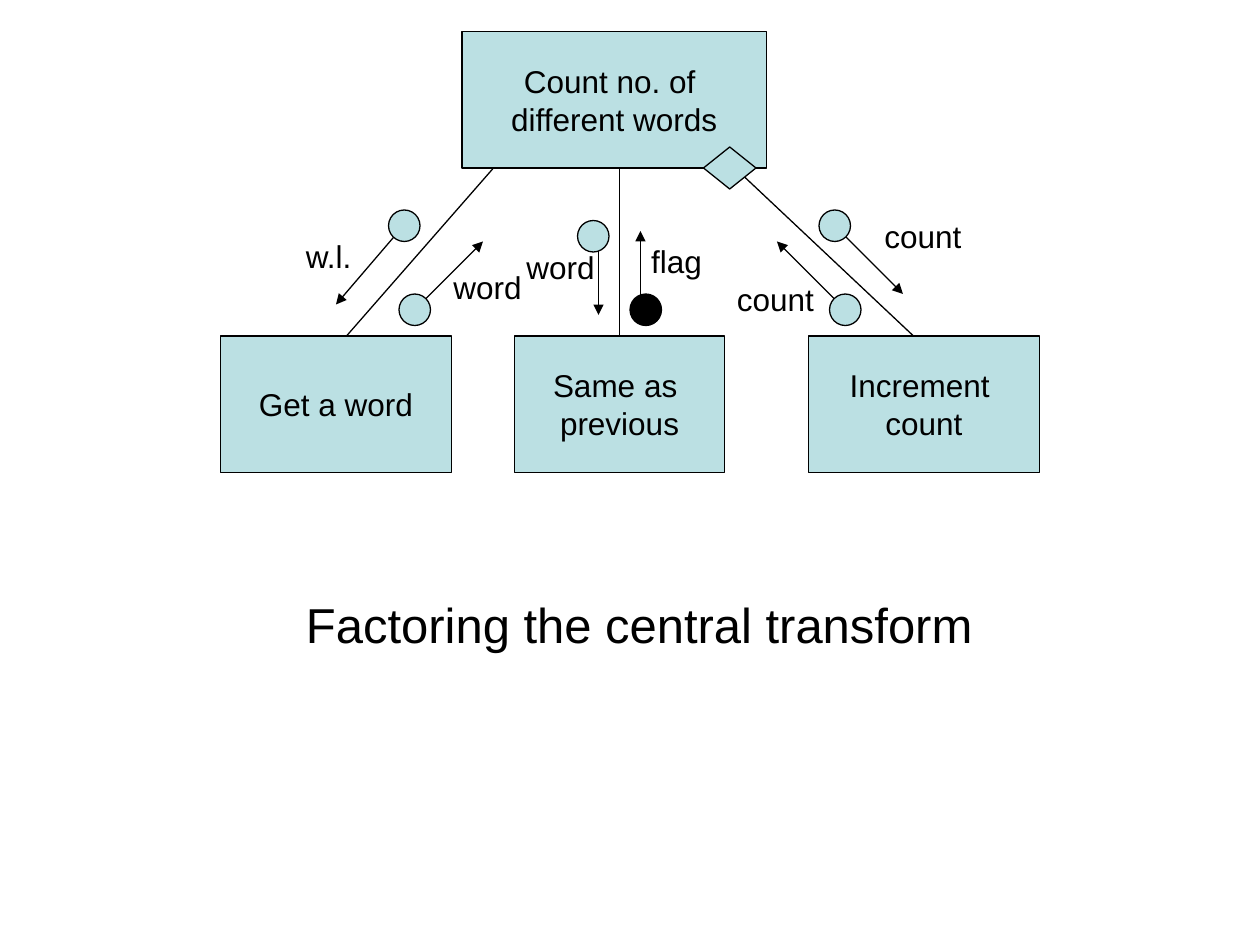
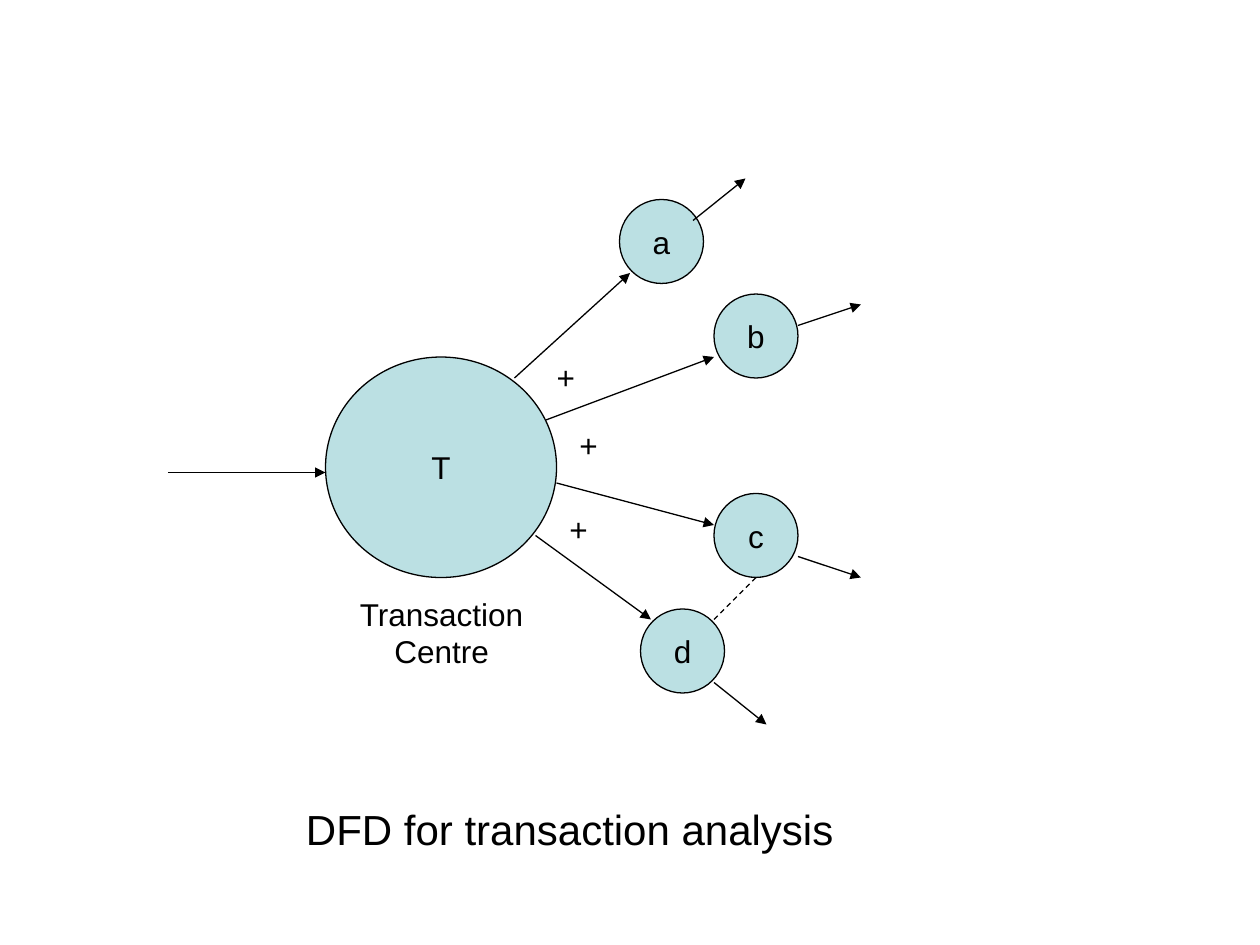
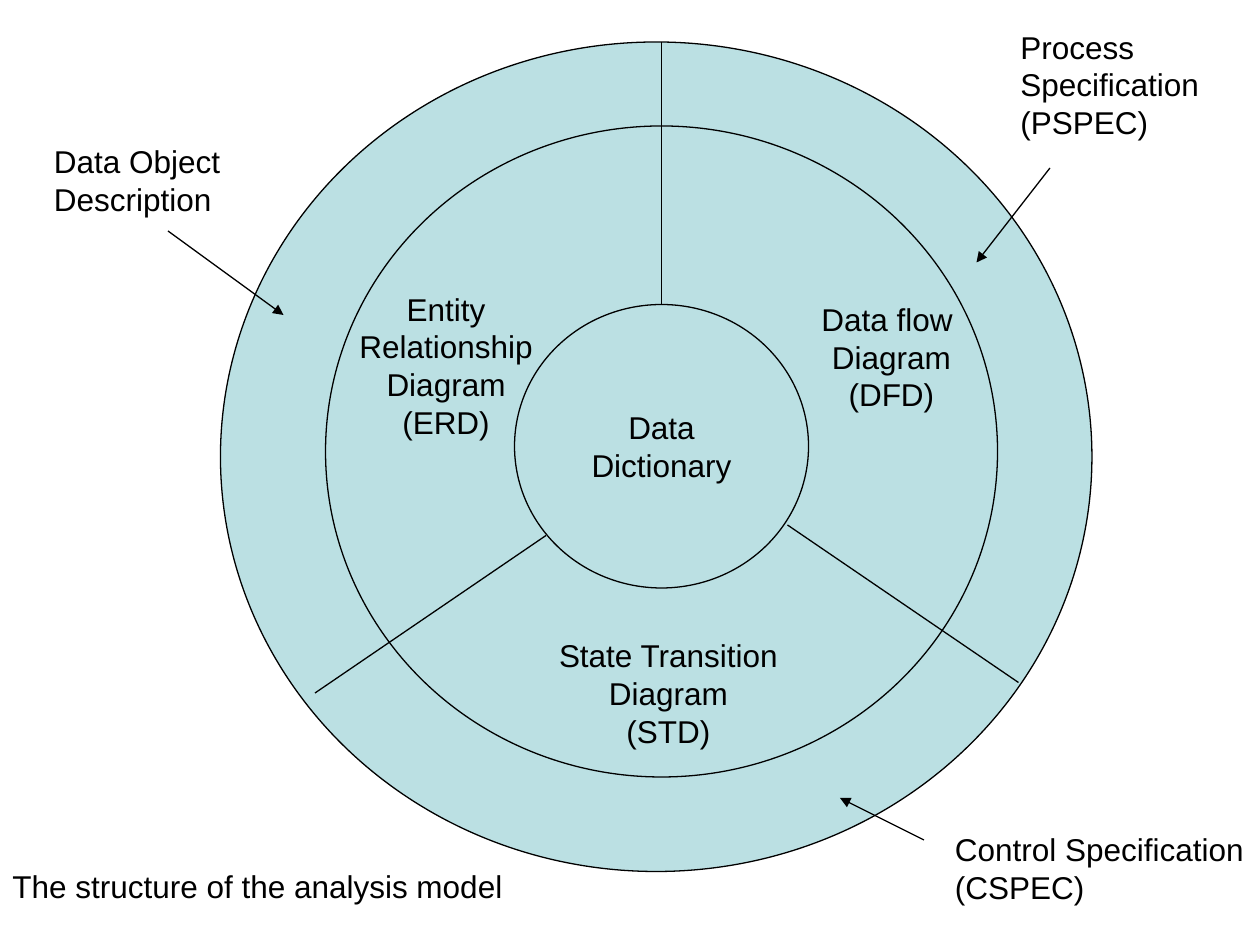
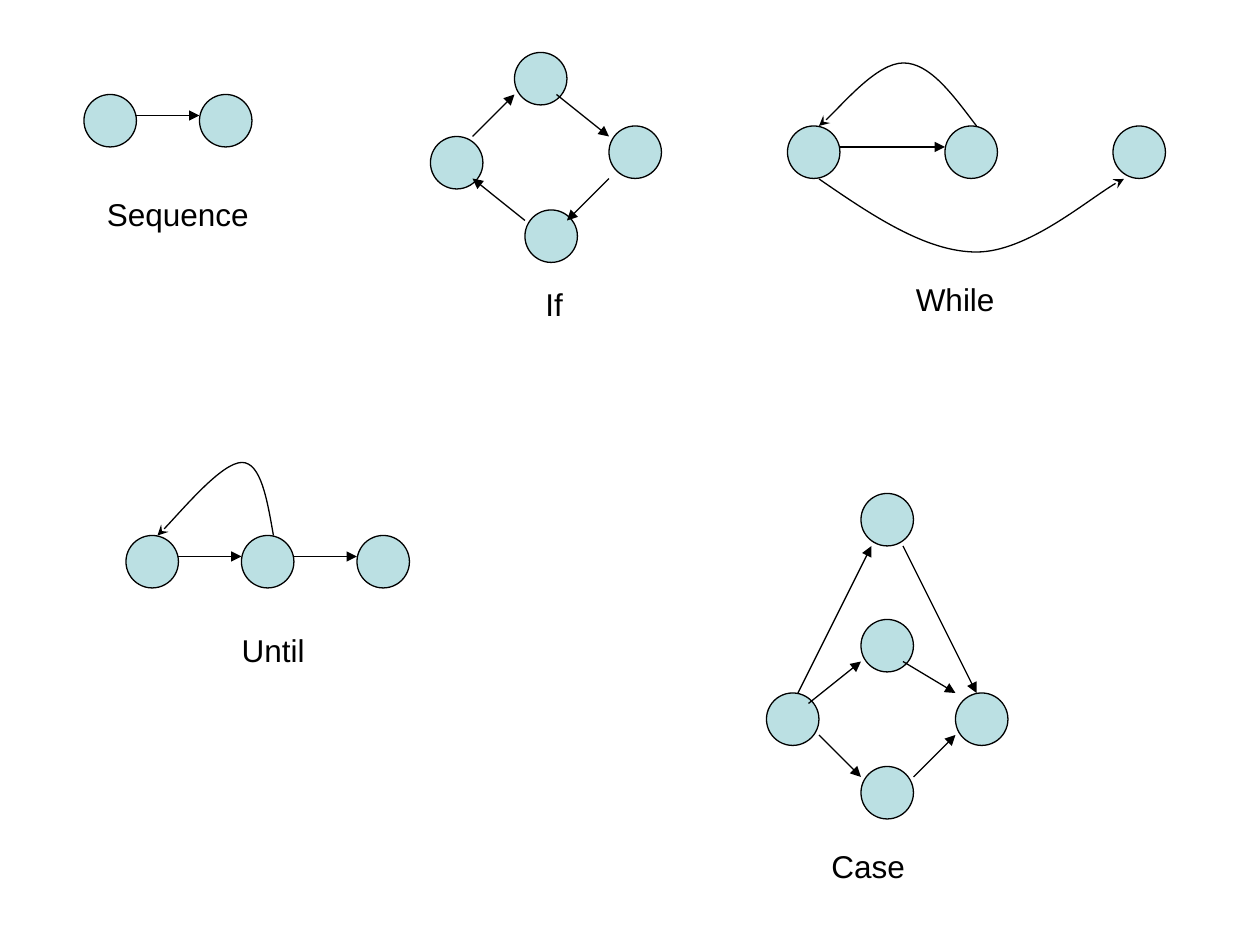
from lxml import etree
from pptx import Presentation
from pptx.dml.color import RGBColor
from pptx.enum.dml import MSO_LINE
from pptx.enum.shapes import MSO_CONNECTOR, MSO_SHAPE
from pptx.enum.text import MSO_ANCHOR, MSO_AUTO_SIZE, PP_ALIGN
from pptx.oxml.ns import qn
from pptx.util import Inches, Pt

RECT, ELLIPSE, DIAMOND = MSO_SHAPE.RECTANGLE, MSO_SHAPE.OVAL, MSO_SHAPE.DIAMOND
STRAIGHT = MSO_CONNECTOR.STRAIGHT
DASH = MSO_LINE.DASH
LEFT, CENTER = PP_ALIGN.LEFT, PP_ALIGN.CENTER
TOP, MIDDLE = MSO_ANCHOR.TOP, MSO_ANCHOR.MIDDLE
FIT, FIXED = MSO_AUTO_SIZE.SHAPE_TO_FIT_TEXT, MSO_AUTO_SIZE.NONE

COLORS = {"node": "BBE0E3", "ink": "000000"}
INK = RGBColor.from_string(COLORS["ink"])
FONT = "Arial"
LINE_WIDTH = Pt(0.75)
GRID = 12  # nodes and straight lines sit on twelfths of an inch
LABEL_FRAME = {"word_wrap": False, "auto_size": FIT, "vertical_anchor": TOP}
NODE_FRAME = {"word_wrap": False, "auto_size": FIXED, "vertical_anchor": MIDDLE}


def add_item(canvas, box, text="", preset=None, fill="node", size=18, align=LEFT):
    """Add a filled node, or a plain label when no preset shape is given."""
    if preset is None:
        item = canvas.add_textbox(*[Inches(length) for length in box])
        frame_format = LABEL_FRAME
    else:
        place = [Inches(round(length * GRID) / GRID) for length in box]
        item, frame_format = canvas.add_shape(preset, *place), NODE_FRAME
        item.shadow.inherit = False
        item.fill.solid()
        item.fill.fore_color.rgb = RGBColor.from_string(COLORS[fill])
        item.line.color.rgb = INK
        item.line.width = LINE_WIDTH
        align = CENTER
    if not text:
        return
    frame = item.text_frame
    for name, value in frame_format.items():
        setattr(frame, name, value)
    for index, words in enumerate(text.split("\n")):
        paragraph = frame.paragraphs[0] if index == 0 else frame.add_paragraph()
        paragraph.alignment = align
        run = paragraph.add_run()
        run.text = words
        for name, value in {"name": FONT, "size": Pt(size)}.items():
            setattr(run.font, name, value)
        run.font.color.rgb = INK


def add_path(canvas, points, tail="triangle", dash=None):
    """Join two points by a line, or follow Bezier points: start, then threes."""
    if len(points) == 2:
        ends = [Inches(round(length * GRID) / GRID) for point in points for length in point]
        path = canvas.add_connector(STRAIGHT, *ends)
        etree.SubElement(path._element.spPr, qn("a:effectLst"))
    else:
        places = [(Inches(x), Inches(y)) for x, y in points]
        builder = canvas.build_freeform(*places[0])
        builder.add_line_segments(places[1:], close=False)
        path = builder.convert_to_shape()
        path.shadow.inherit = False
        path.fill.background()
        # Every three straight steps become one cubic curve.
        outline = next(path._element.iter(qn("a:path")))
        steps = outline.findall(qn("a:lnTo"))
        for first in range(0, len(steps), 3):
            curve = etree.SubElement(outline, qn("a:cubicBezTo"))
            for step in steps[first:first + 3]:
                curve.append(step[0])
                outline.remove(step)
    path.line.color.rgb = INK
    path.line.width = LINE_WIDTH
    if dash:
        path.line.dash_style = dash
    if tail:
        stroke = path._element.spPr.find(qn("a:ln"))
        etree.SubElement(stroke, qn("a:tailEnd"), type=tail)


prs = Presentation()
prs.slide_width, prs.slide_height = Inches(10), Inches(7.5)
blank = prs.slide_layouts[6]

# Slide 1: structure chart
canvas = prs.slides.add_slide(blank).shapes

for call in [
    [(3.92, 1.33), (2.75, 2.67)],
    [(4.92, 1.33), (4.92, 2.67)],
    [(5.83, 1.33), (7.25, 2.67)],
]:
    add_path(canvas, call, tail=None)

for data_flow in [
    [(3.17, 1.83), (2.67, 2.42)],
    [(3.33, 2.42), (3.83, 1.92)],
    [(4.75, 1.92), (4.75, 2.5)],
    [(5.08, 2.42), (5.08, 1.83)],
    [(6.67, 2.42), (6.17, 1.92)],
    [(6.67, 1.83), (7.17, 2.33)],
]:
    add_path(canvas, data_flow)

for left, top, width, module in [
    (3.67, 0.25, 2.42, "Count no. of \ndifferent words"),
    (1.75, 2.67, 1.83, "Get a word"),
    (4.08, 2.67, 1.67, "Same as \nprevious"),
    (6.42, 2.67, 1.83, "Increment \ncount"),
]:
    add_item(canvas, (left, top, width, 1.08), module, RECT)
add_item(canvas, (5.58, 1.17, 0.42, 0.33), preset=DIAMOND)

for left, top, fill in [
    (3.08, 1.67, "node"), (3.17, 2.33, "node"), (4.58, 1.75, "node"),
    (5, 2.33, "ink"), (6.58, 2.33, "node"), (6.5, 1.67, "node"),
]:
    add_item(canvas, (left, top, 0.25, 0.25), preset=ELLIPSE, fill=fill)

for left, top, width, couple in [
    (2.33, 1.83, 0.58, "w.l."), (3.5, 2.08, 0.74, "word"),
    (4.08, 1.92, 0.74, "word"), (5.07, 1.87, 0.6, "flag"),
    (5.75, 2.17, 0.81, "count"), (6.92, 1.67, 0.81, "count"),
]:
    add_item(canvas, (left, top, width, 0.4), couple)
add_item(canvas, (2.33, 4.67, 5.51, 0.57), "Factoring the central transform", size=28)

# Slide 2: transaction flow
canvas = prs.slides.add_slide(blank).shapes

add_item(canvas, (2.58, 2.83, 1.83, 1.75), "T", ELLIPSE)
add_path(canvas, [(1.33, 3.75), (2.58, 3.75)])
for action, left, top, path_in, path_out in [
    ("a", 4.92, 1.58, [(4.08, 3), (5, 2.17)], [(5.5, 1.75), (5.92, 1.42)]),
    ("b", 5.67, 2.33, [(4.33, 3.33), (5.67, 2.83)], [(6.33, 2.58), (6.83, 2.42)]),
    ("c", 5.67, 3.92, [(4.42, 3.83), (5.67, 4.17)], [(6.33, 4.42), (6.83, 4.58)]),
    ("d", 5.08, 4.83, [(4.25, 4.25), (5.17, 4.92)], [(5.67, 5.42), (6.08, 5.75)]),
]:
    add_path(canvas, path_in)
    add_item(canvas, (left, top, 0.67, 0.67), action, ELLIPSE)
    add_path(canvas, path_out)
add_path(canvas, [(5.67, 4.92), (6, 4.58)], tail=None, dash=DASH)

for left, top in [(4.32, 2.79), (4.5, 3.33), (4.42, 4)]:
    add_item(canvas, (left, top, 0.35, 0.4), "+")
add_item(canvas, (2.75, 4.67, 1.51, 0.7), "Transaction\nCentre", align=CENTER)
add_item(canvas, (2.33, 6.33, 4.39, 0.5), "DFD for transaction analysis", size=24)

# Slide 3: rings of the analysis model
canvas = prs.slides.add_slide(blank).shapes.add_group_shape().shapes

for ring in [(1.75, 0.33, 6.92, 6.58), (2.58, 1, 5.33, 5.17)]:
    add_item(canvas, ring, preset=ELLIPSE)
for divider in [
    [(4.33, 4.25), (2.5, 5.5)],
    [(5.25, 0.33), (5.25, 2.42)],
    [(6.25, 4.17), (8.08, 5.42)],
]:
    add_path(canvas, divider, tail=None)
add_item(canvas, (4.08, 2.42, 2.33, 2.25), "Data\nDictionary", ELLIPSE)

for box, diagram in [
    ((6.42, 2.33, 1.31, 1), "Data flow \nDiagram\n(DFD)"),
    ((4.33, 5, 1.95, 1), "State Transition\nDiagram\n(STD)"),
    ((2.75, 2.25, 1.58, 1.3), "Entity\nRelationship\nDiagram\n(ERD)"),
]:
    add_item(canvas, box, diagram, align=CENTER)

for pointer, box, description in [
    ([(8.33, 1.33), (7.75, 2.08)], (8, 0.17, 1.62, 1),
     "Process\nSpecification\n(PSPEC)"),
    ([(7.33, 6.67), (6.67, 6.33)], (7.48, 6.54, 2.49, 0.7),
     "Control Specification\n(CSPEC)"),
    ([(1.33, 1.83), (2.25, 2.5)], (0.33, 1.08, 1.52, 0.7),
     "Data Object\nDescription"),
]:
    add_path(canvas, pointer)
    add_item(canvas, box, description)
add_item(canvas, (0, 6.83, 4.09, 0.4), "The structure of the analysis model")

# Slide 4: flow graphs of the control constructs
canvas = prs.slides.add_slide(blank).shapes

constructs = [
    {
        "name": "Sequence", "label": (0.75, 1.5, 1.33),
        "nodes": [(0.67, 0.75), (1.58, 0.75)],
        "edges": [[(1.08, 0.92), (1.58, 0.92)]],
        "curves": [],
    },
    {
        "name": "If", "label": (4.23, 2.21, 0.34),
        "nodes": [(4.08, 0.42), (3.42, 1.08), (4.83, 1), (4.17, 1.67)],
        "edges": [
            [(3.75, 1.08), (4.08, 0.75)], [(4.42, 0.75), (4.83, 1.08)],
            [(4.83, 1.42), (4.5, 1.75)], [(4.17, 1.75), (3.75, 1.42)],
        ],
        "curves": [],
    },
    {
        "name": "While", "label": (7.17, 2.17, 0.83),
        "nodes": [(6.25, 1), (7.5, 1), (8.83, 1)],
        "edges": [[(6.67, 1.17), (7.5, 1.17)]],
        "curves": [
            [(6.5, 1.42), (6.92, 1.71), (7.35, 2), (7.75, 2),
             (8.15, 2), (8.72, 1.51), (8.92, 1.42)],
            [(7.75, 1), (7.56, 0.75), (7.38, 0.5), (7.17, 0.5),
             (6.96, 0.5), (6.61, 0.92), (6.5, 1)],
        ],
    },
    {
        "name": "Until", "label": (1.82, 4.96, 0.7),
        "nodes": [(1, 4.25), (1.92, 4.25), (2.83, 4.25)],
        "edges": [[(1.42, 4.42), (1.92, 4.42)], [(2.33, 4.42), (2.83, 4.42)]],
        "curves": [
            [(2.17, 4.25), (2.12, 3.96), (2.07, 3.67), (1.92, 3.67),
             (1.76, 3.67), (1.36, 4.15), (1.25, 4.25)],
        ],
    },
    {
        "name": "Case", "label": (6.5, 6.67, 0.8),
        "nodes": [(6.83, 3.92), (6.83, 6.08), (7.58, 5.5), (6.08, 5.5), (6.83, 4.92)],
        "edges": [
            [(6.33, 5.5), (6.92, 4.33)], [(7.17, 4.33), (7.75, 5.5)],
            [(6.42, 5.58), (6.83, 5.25)], [(7.17, 5.25), (7.58, 5.5)],
            [(6.5, 5.83), (6.83, 6.17)], [(7.25, 6.17), (7.58, 5.83)],
        ],
        "curves": [],
    },
]
for construct in constructs:
    for left, top in construct["nodes"]:
        add_item(canvas, (left, top, 0.42, 0.42), preset=ELLIPSE)
    for edge in construct["edges"]:
        add_path(canvas, edge)
    for curve in construct["curves"]:
        add_path(canvas, curve, tail="stealth")
    add_item(canvas, (*construct["label"], 0.4), construct["name"])

prs.save("out.pptx")
